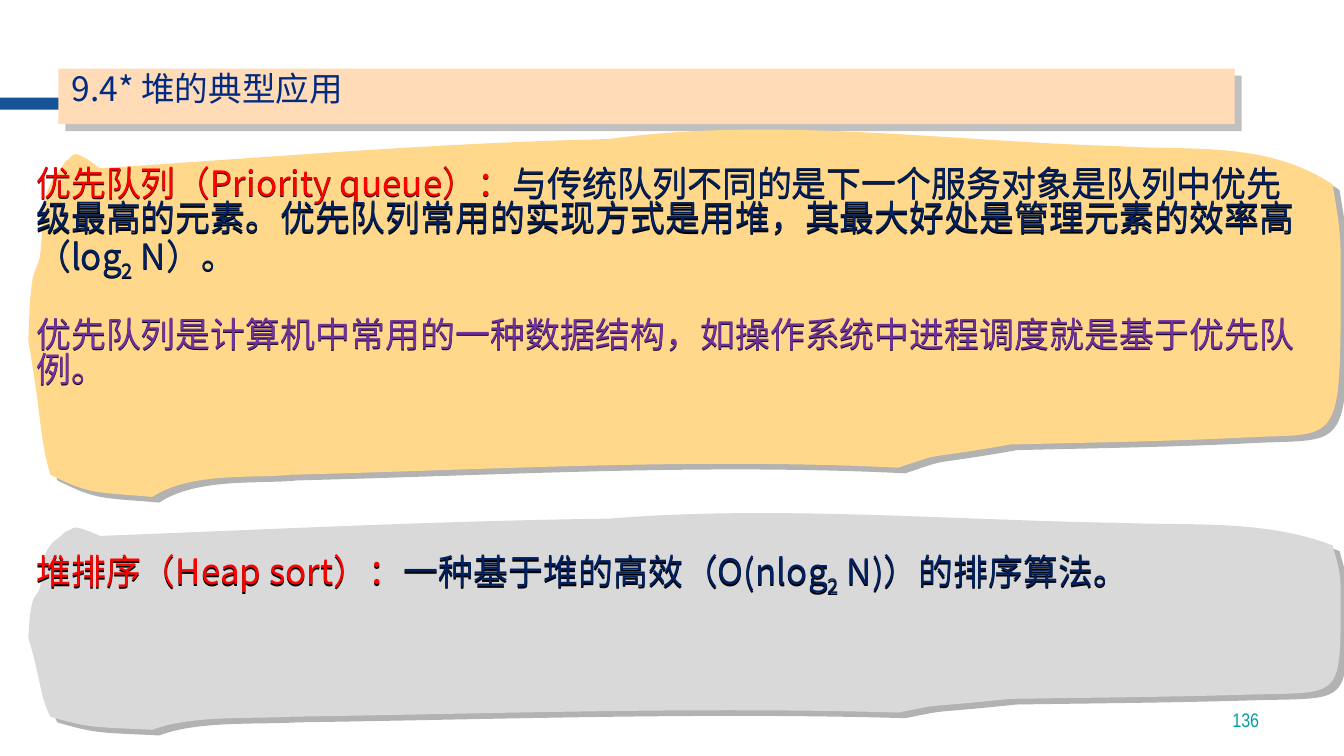
from lxml.etree import SubElement
from pptx import Presentation
from pptx.dml.color import RGBColor
from pptx.enum.shapes import MSO_SHAPE
from pptx.enum.text import MSO_ANCHOR, PP_ALIGN
from pptx.oxml.ns import qn
from pptx.util import Pt

COLORS = {
    "bar": "145396", "title_panel": "FFDBB7", "title": "002B80",
    "queue_panel": "FFD88B", "sort_panel": "D9D9D9",
    "panel_shadow": "B2B2B2", "title_shadow": "C0C0C0", "text_shadow": "000000",
    "term": "FF0000", "body": "002060", "example": "7030A0", "number": "009EA1",
}
CJK = "Noto Sans CJK SC"

# Hand-drawn panel outline, in hundredths of an inch: start, then cubic curves
OUTLINE_START = (37, 45)
OUTLINE_POINTS = [
    (41, 43), (44, 37), (48, 38), (56, 40), (71, 52), (71, 52),
    (241, 41), (402, 27), (576, 23), (741, 0), (920, 26), (1082, 30),
    (1151, 35), (1227, 24), (1294, 68), (1298, 94), (1302, 110), (1302, 142),
    (1302, 333), (1305, 314), (1208, 319), (1130, 323), (1052, 324), (974, 326),
    (877, 343), (914, 332), (863, 349), (662, 339), (461, 351), (260, 356),
    (222, 360), (161, 353), (123, 378), (66, 373), (62, 376), (22, 356),
    (13, 327), (12, 299), (7, 267), (5, 252), (0, 223), (0, 223),
    (1, 203), (1, 183), (4, 164), (5, 155), (9, 150), (11, 142),
    (15, 120), (12, 93), (19, 75), (23, 62), (31, 55), (37, 45),
]
OUTLINE_HEIGHT = 378

deck = Presentation()
deck.slide_width, deck.slide_height = Pt(960), Pt(540)
page = deck.slides.add_slide(deck.slide_layouts[6])


def finish(shape, fill=None, shadow=None, distance=0, angle=0):
    """Fill a shape without outline, and give it an optional hard shadow."""
    if fill:
        shape.fill.solid()
        shape.fill.fore_color.rgb = RGBColor.from_string(COLORS[fill])
        shape.line.fill.background()
    shape.shadow.inherit = False
    if shadow:
        effects = shape._element.spPr.find(qn("a:effectLst"))
        outer = SubElement(effects, qn("a:outerShdw"), dist=str(Pt(distance)),
                           dir=str(angle * 60000), algn="ctr", rotWithShape="0")
        SubElement(outer, qn("a:srgbClr"), val=COLORS[shadow])


def write(place, paragraphs, size, font=CJK, line=0.83, gap=0, **layout):
    """Add a text box; each paragraph is a list of (text, colour, baseline)."""
    box = page.shapes.add_textbox(*map(Pt, place))
    frame = box.text_frame
    frame.word_wrap = True
    frame.vertical_anchor = layout.get("anchor", MSO_ANCHOR.TOP)
    for index, spans in enumerate(paragraphs):
        para = frame.add_paragraph() if index else frame.paragraphs[0]
        para.alignment = layout.get("align", PP_ALIGN.LEFT)
        para.line_spacing = line
        if index:
            para.space_before = Pt(gap)
        for text, color, baseline in spans:
            span = para.add_run()
            span.text = text
            for name, value in {"size": Pt(size), "name": font}.items():
                setattr(span.font, name, value)
            span.font.color.rgb = RGBColor.from_string(COLORS[color])
            SubElement(span.font._element, qn("a:ea"), typeface=font)
            if baseline:
                span.font._element.set("baseline", str(baseline * 1000))
    return box


bar = page.shapes.add_shape(MSO_SHAPE.RECTANGLE, Pt(0), Pt(69.8), Pt(267.8), Pt(8.6))
finish(bar, "bar")

write((706.3, 490.3, 200.2, 36), [[("136", "number", 0)]], 14, font="Arial Narrow",
      line=1.0, anchor=MSO_ANCHOR.BOTTOM, align=PP_ALIGN.RIGHT)

title_panel = page.shapes.add_shape(MSO_SHAPE.RECTANGLE, Pt(41.8), Pt(49), Pt(840.2), Pt(39.6))
finish(title_panel, "title_panel", "title_shadow", 7.1, 45)
write((43.9, 49.7, 862.6, 36.7), [[("9.4* 堆的典型应用", "title", 0)]], 24)

queue_text = [
    [("优先队列（Priority queue）：", "term", 0),
     ("与传统队列不同的是下一个服务对象是队列中优先级最高的元素。"
      "优先队列常用的实现方式是用堆，其最大好处是管理元素的效率高（log", "body", 0),
     ("2", "body", -25), (" N）。", "body", 0)],
    [("优先队列是计算机中常用的一种数据结构，如操作系统中进程调度就是基于优先队例。",
      "example", 0)],
]
sort_text = [
    [("堆排序（Heap sort）：", "term", 0), ("一种基于堆的高效（O(nlog", "body", 0),
     ("2", "body", -25), (" N)）的排序算法。", "body", 0)],
]
panels = [
    (82.8, 272.2, "queue_panel", 116.6, 189.4, queue_text),
    (360.7, 160.6, "sort_panel", 391.7, 67.7, sort_text),
]
for top, height, fill, text_top, text_height, paragraphs in panels:
    builder = page.shapes.build_freeform(
        *OUTLINE_START, scale=(Pt(0.72), Pt(height / OUTLINE_HEIGHT)))
    builder.add_line_segments(OUTLINE_POINTS, close=True)
    panel = builder.convert_to_shape(Pt(20.2), Pt(top))
    # Every three points become one cubic curve
    segments = list(panel._element.spPr.iter(qn("a:lnTo")))
    for first in range(0, len(segments), 3):
        curve = segments[first]
        curve.tag = qn("a:cubicBezTo")
        for segment in segments[first + 1:first + 3]:
            curve.append(segment[0])
            segment.getparent().remove(segment)
    finish(panel, fill, "panel_shadow", 6.4, 39)
    box = write((18.7, text_top, 923, text_height), paragraphs, 25, gap=30)
    finish(box, shadow="text_shadow", distance=1, angle=90)

deck.save("out.pptx")
